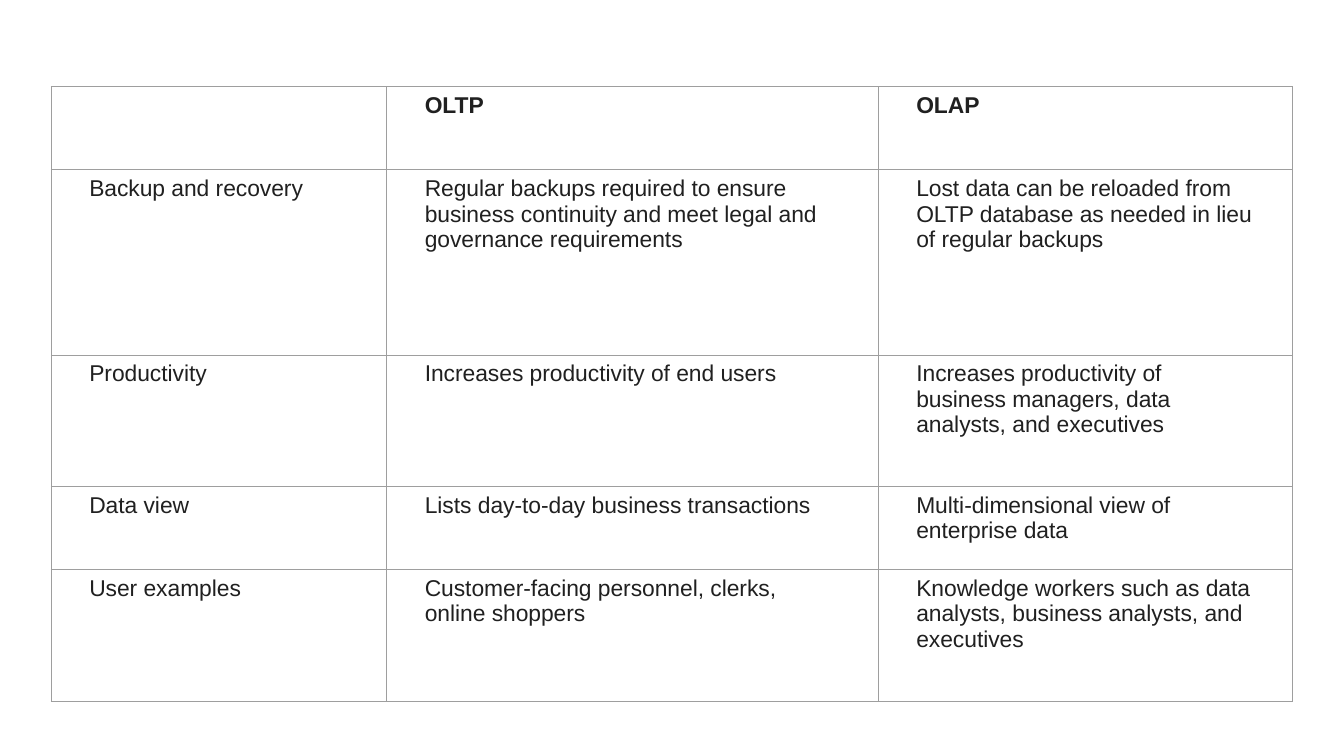
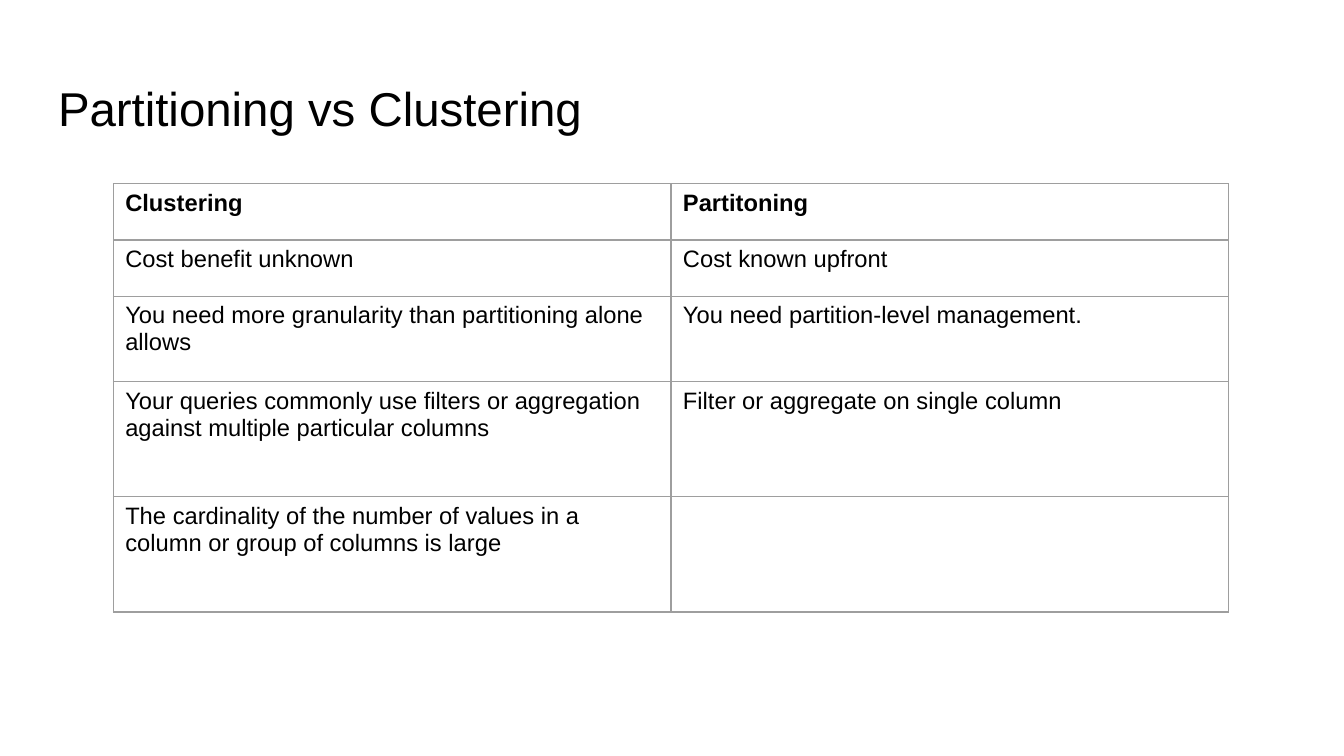
import pptx
import pptx.dml.color
import pptx.enum.text
import pptx.oxml
import pptx.oxml.ns
import pptx.util

Cm, Pt = pptx.util.Cm, pptx.util.Pt
RGBColor = pptx.dml.color.RGBColor

# Shared look
FONT = "Arial"
BLACK = RGBColor(0x00, 0x00, 0x00)
CHARCOAL = RGBColor(0x20, 0x20, 0x20)
BORDER_GREY = RGBColor(0x9E, 0x9E, 0x9E)
BORDER_WIDTH = Pt(0.75)
CELL_INSET_Y = Cm(0.13)
TITLE_INSET = Cm(0.25)


def write(frame, text, formats):
    paragraph = frame.paragraphs[0]
    paragraph.text = text
    paragraph.font.color.rgb = formats["color"]
    for name in ("size", "bold"):
        setattr(paragraph.font, name, formats[name])
    paragraph.font.name = FONT


def add_comparison(slide, left, top, widths, heights, rows, inset, size, color):
    table = slide.shapes.add_table(
        len(rows), len(widths), left, top, sum(widths), sum(heights)).table
    table.first_row = table.horz_banding = False
    for column, width in zip(table.columns, widths):
        column.width = width
    for row_index, (texts, height) in enumerate(zip(rows, heights)):
        table.rows[row_index].height = height
        for column_index, text in enumerate(texts):
            cell = table.cell(row_index, column_index)
            cell.margin_left = cell.margin_right = inset
            cell.margin_top = cell.margin_bottom = CELL_INSET_Y
            # Borders come before the fill in the cell properties
            properties = cell._tc.get_or_add_tcPr()
            for side in "LRTB":
                properties.append(pptx.oxml.parse_xml(
                    f'<a:ln{side} {pptx.oxml.ns.nsdecls("a")} w="{BORDER_WIDTH}">'
                    f'<a:solidFill><a:srgbClr val="{BORDER_GREY}"/></a:solidFill>'
                    f'</a:ln{side}>'))
            cell.fill.background()
            write(cell.text_frame, text,
                  {"size": size, "bold": row_index == 0, "color": color})


deck = pptx.Presentation()
deck.slide_width, deck.slide_height = Cm(28), Cm(15.75)
blank = deck.slide_layouts[6]

# Slide 1: OLTP and OLAP
systems = [
    ("", "OLTP", "OLAP"),
    ("Backup and recovery",
     "Regular backups required to ensure business continuity and meet legal "
     "and governance requirements",
     "Lost data can be reloaded from OLTP database as needed in lieu of "
     "regular backups"),
    ("Productivity", "Increases productivity of end users",
     "Increases productivity of business managers, data analysts, and executives"),
    ("Data view", "Lists day-to-day business transactions",
     "Multi-dimensional view of enterprise data"),
    ("User examples", "Customer-facing personnel, clerks, online shoppers",
     "Knowledge workers such as data analysts, business analysts, and executives"),
]
add_comparison(
    deck.slides.add_slide(blank), Cm(1.07), Cm(1.81),
    [Cm(6.99), Cm(10.24), Cm(8.62)],
    [Cm(1.73), Cm(3.86), Cm(2.74), Cm(1.73), Cm(2.74)],
    systems, inset=Cm(0.79), size=Pt(13.5), color=CHARCOAL)

# Slide 2: title
partitioning_slide = deck.slides.add_slide(blank)
title = partitioning_slide.shapes.add_textbox(
    Cm(0.96), Cm(1.37), Cm(26.09), Cm(1.75)).text_frame
title_format = {
    "word_wrap": True,
    "vertical_anchor": pptx.enum.text.MSO_ANCHOR.MIDDLE,
    "margin_left": TITLE_INSET, "margin_right": TITLE_INSET,
    "margin_top": TITLE_INSET, "margin_bottom": TITLE_INSET,
}
for name, value in title_format.items():
    setattr(title, name, value)
write(title, "Partitioning vs Clustering",
      {"size": Pt(28), "bold": False, "color": BLACK})

# Slide 2: clustering and partitioning
methods = [
    ("Clustering", "Partitoning"),
    ("Cost benefit unknown", "Cost known upfront"),
    ("You need more granularity than partitioning alone allows",
     "You need partition-level management."),
    ("Your queries commonly use filters or aggregation against multiple "
     "particular columns",
     "Filter or aggregate on single column"),
    ("The cardinality of the number of values in a column or group of columns "
     "is large", ""),
]
add_comparison(
    partitioning_slide, Cm(2.36), Cm(3.83), [Cm(11.62)] * 2,
    [Cm(1.17), Cm(1.17), Cm(1.78), Cm(2.4), Cm(2.4)],
    methods, inset=Cm(0.25), size=Pt(14), color=BLACK)

deck.save("out.pptx")
